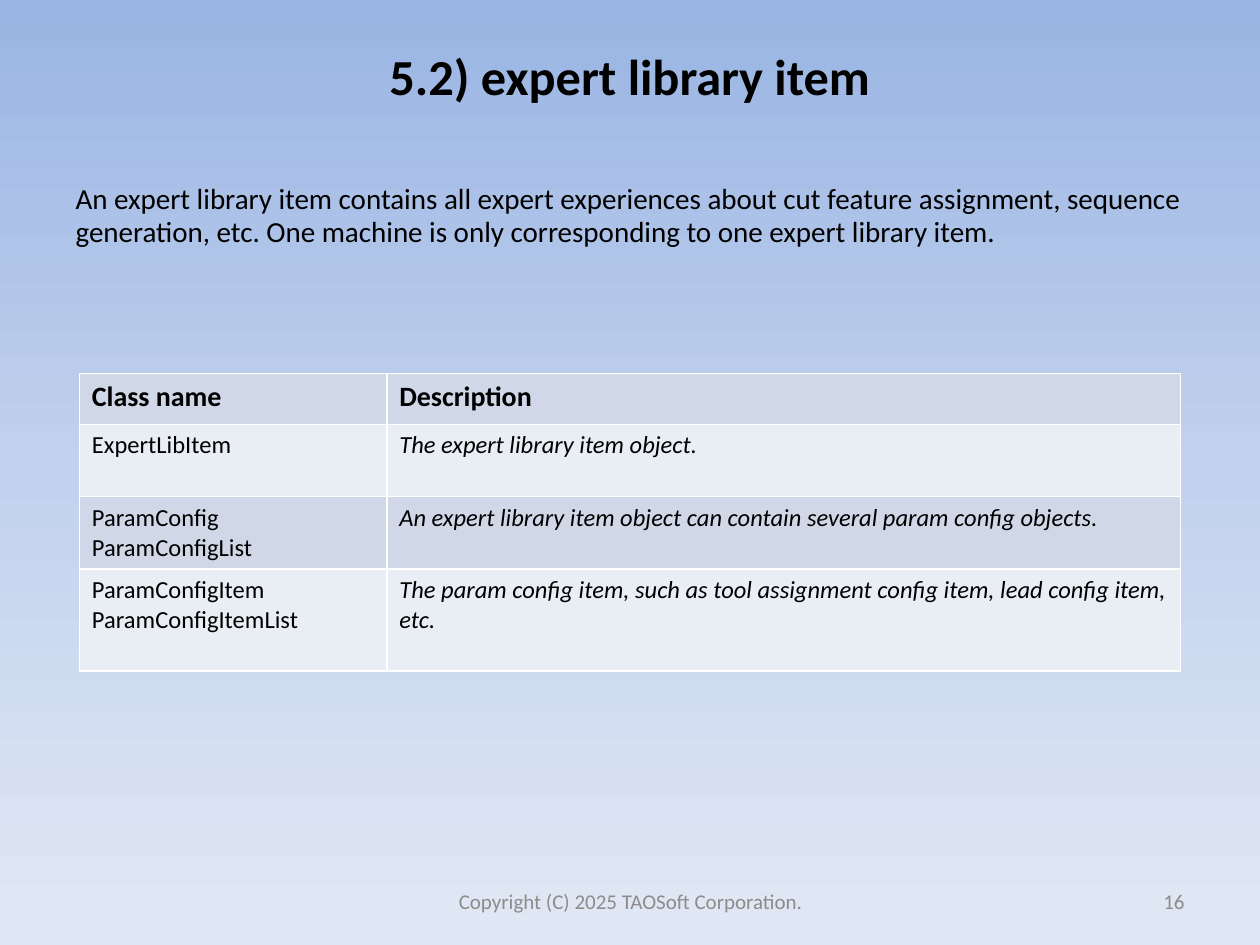
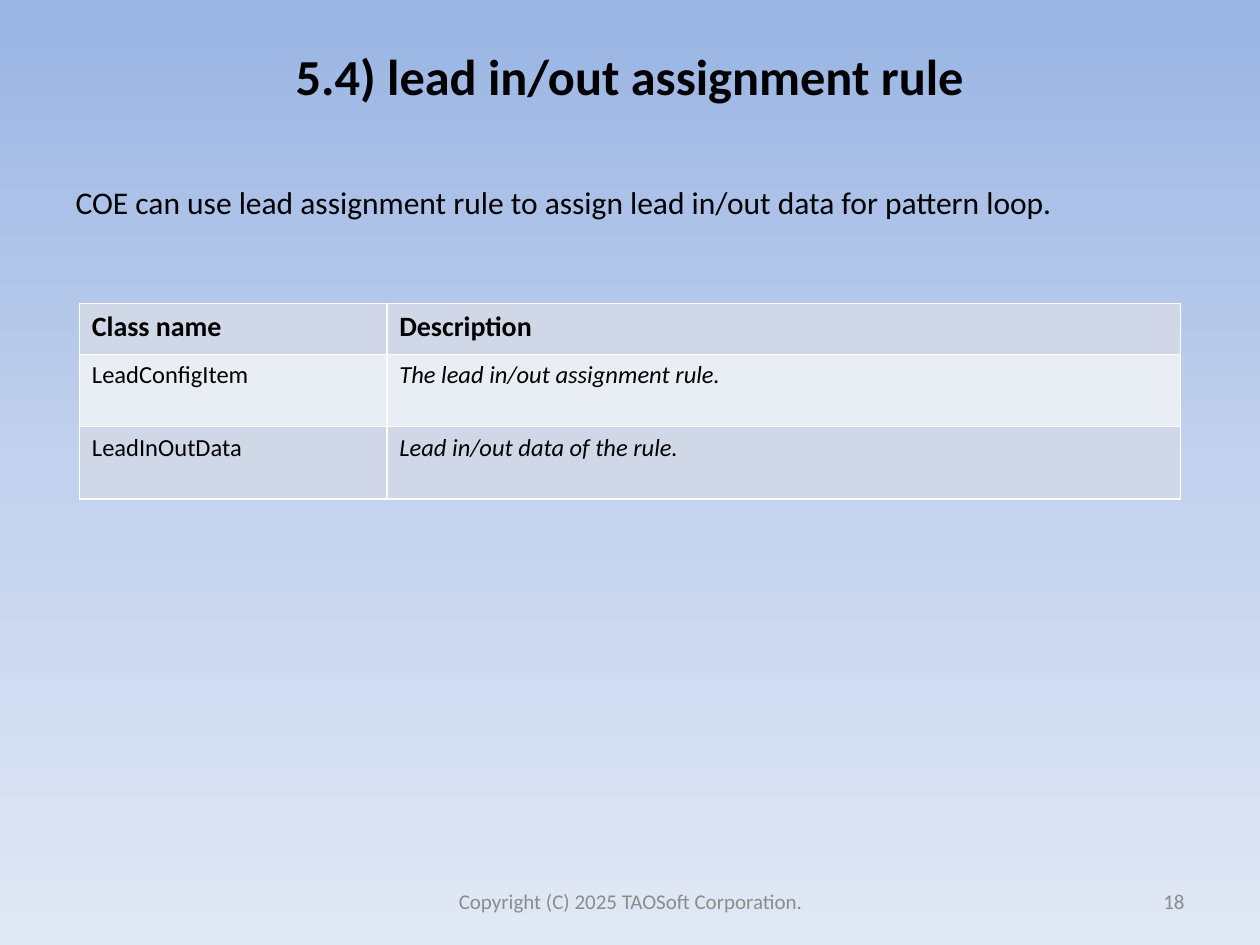
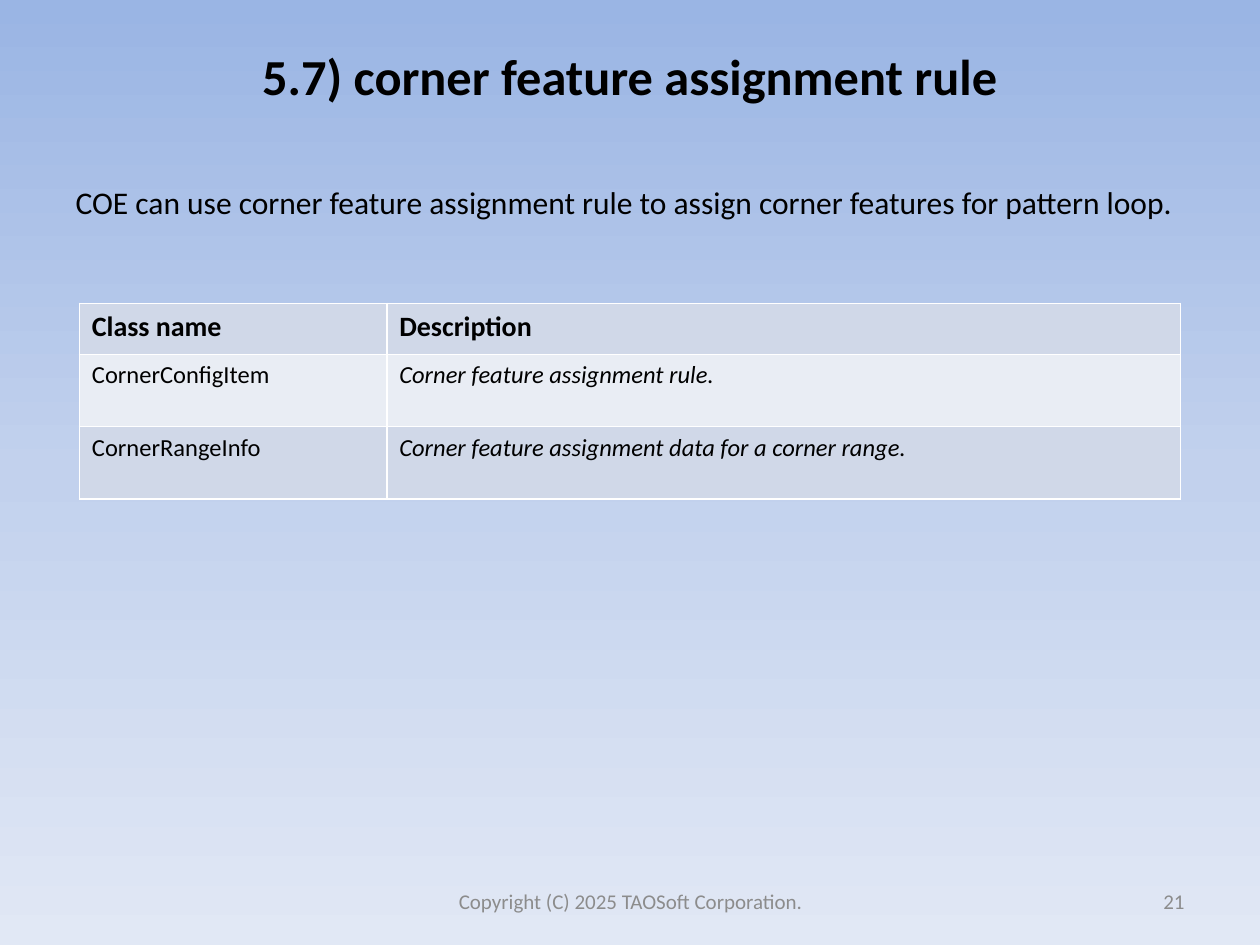
"""Build three slides on expert library classes, each with a lead text and a class table."""
from copy import deepcopy

from pptx import Presentation
from pptx.dml.color import RGBColor
from pptx.enum.text import MSO_ANCHOR, MSO_AUTO_SIZE, PP_ALIGN
from pptx.oxml import parse_xml
from pptx.oxml.ns import nsdecls, qn
from pptx.util import Inches, Pt

LEFT, MID, RIGHT = PP_ALIGN.LEFT, PP_ALIGN.CENTER, PP_ALIGN.RIGHT
TOP, CENTRE = MSO_ANCHOR.TOP, MSO_ANCHOR.MIDDLE
FIXED = MSO_AUTO_SIZE.NONE


class Theme:
    """Hold the colours, font and type sizes."""
    font = "Calibri"
    ink, grey, line = "000000", "8C8C8C", "FFFFFF"
    sky = ["9AB5E4", "C2D1ED", "E1E8F5"]
    bands = ["D0D8E8", "E9EDF4"]
    title, head, cell, foot = 28.8, 16, 14, 12


def style(frame, size, color=Theme.ink, align=LEFT, bold=False, slant=False):
    """Format every paragraph of a text frame."""
    for para in frame.paragraphs:
        para.alignment = align
        para.space_before = Pt(0)
        for run in para.runs:
            font = run.font
            font.name, font.size = Theme.font, Pt(size)
            font.bold, font.italic = bold, slant
            font.color.rgb = RGBColor.from_string(color)


def place(shape, left, top, width, height, anchor):
    """Set a text shape by percent of the slide and anchor its text."""
    shape.left, shape.top = int(left * X), int(top * Y)
    shape.width, shape.height = int(width * X), int(height * Y)
    frame = shape.text_frame
    frame.word_wrap, frame.auto_size = True, FIXED
    frame.vertical_anchor = anchor
    return frame


deck = Presentation()
deck.slide_width, deck.slide_height = Inches(10), Inches(7.5)
X, Y = deck.slide_width / 100, deck.slide_height / 100

master = deck.slide_master
fill = master.background.fill
fill.gradient()
fill.gradient_angle = 270
stops = master.element.find(".//" + qn("a:gsLst"))
stops.insert(1, deepcopy(stops[0]))
for step, (stop, color) in enumerate(zip(fill.gradient_stops, Theme.sky)):
    stop.position = step / 2
    stop.color.rgb = RGBColor.from_string(color)

COLS = [24.4, 63]
HEAD, ROW, TALL = 5.4, 7.66, 10.8
pages = [
    ("16", "5.2) expert library item",
     "An expert library item contains all expert experiences about cut feature assignment, "
     "sequence generation, etc. One machine is only corresponding to one expert library item.",
     16.6, 0.96, 16.8, 39.5,
     [("ExpertLibItem", "The expert library item object.", ROW),
      ("ParamConfig\nParamConfigList",
       "An expert library item object can contain several param config objects.", ROW),
      ("ParamConfigItem\nParamConfigItemList",
       "The param config item, such as tool assignment config item, lead config item, etc.", TALL)]),
    ("18", "5.4) lead in/out assignment rule",
     "COE can use lead assignment rule to assign lead in/out data for pattern loop.",
     18, 1.0, 13.6, 32.1,
     [("LeadConfigItem", "The lead in/out assignment rule.", ROW),
      ("LeadInOutData", "Lead in/out data of the rule.", ROW)]),
    ("21", "5.7) corner feature assignment rule",
     "COE can use corner feature assignment rule to assign corner features for pattern loop.",
     18, 1.0, 13.6, 32.1,
     [("CornerConfigItem", "Corner feature assignment rule.", ROW),
      ("CornerRangeInfo", "Corner feature assignment data for a corner range.", ROW)]),
]

for number, title, lead, size, pitch, depth, top, items in pages:
    slide = deck.slides.add_slide(deck.slide_layouts[1])
    for text, left, width, align in [
        ("Copyright (C) 2025 TAOSoft Corporation.", 34.2, 31.7, MID),
        (number, 71.7, 23.3, RIGHT),
    ]:
        frame = place(slide.shapes.add_textbox(0, 0, 0, 0), left, 92.7, width, 5.3, CENTRE)
        frame.text = text
        style(frame, Theme.foot, Theme.grey, align)

    frame = place(slide.shapes.title, 5, 4, 90, 12.4, TOP)
    frame.margin_top = Inches(0.06)
    frame.text = title
    style(frame, Theme.title, align=MID, bold=True)

    frame = place(slide.placeholders[1], 5, 16.4, 90, depth, TOP)
    frame.margin_top = Inches(0.22)
    frame.text = lead
    para = frame.paragraphs[0]
    props = para._p.get_or_add_pPr()
    props.set("marL", "0")
    props.set("indent", "0")
    props.append(parse_xml(f"<a:buNone {nsdecls('a')}/>"))
    para.line_spacing = pitch
    style(frame, size)

    rows = [("Class name", "Description", HEAD)] + items
    high = sum(row[2] for row in rows)
    table = slide.shapes.add_table(
        len(rows), len(COLS), int(6.3 * X), int(top * Y),
        int(sum(COLS) * X), int(high * Y)).table
    for col, width in zip(table.columns, COLS):
        col.width = int(width * X)
    for r, (*texts, height) in enumerate(rows):
        table.rows[r].height = int(height * Y)
        for c, text in enumerate(texts):
            cell = table.cell(r, c)
            cell.text = text
            style(cell.text_frame, Theme.cell if r else Theme.head,
                  bold=r == 0, slant=r > 0 and c == 1)
            props = cell._tc.get_or_add_tcPr()
            for side in "LRTB":
                props.append(parse_xml(
                    f'<a:ln{side} {nsdecls("a")} w="{Pt(1)}"><a:solidFill>'
                    f'<a:srgbClr val="{Theme.line}"/></a:solidFill></a:ln{side}>'))
            cell.fill.solid()
            cell.fill.fore_color.rgb = RGBColor.from_string(Theme.bands[r % 2])

deck.save("out.pptx")
